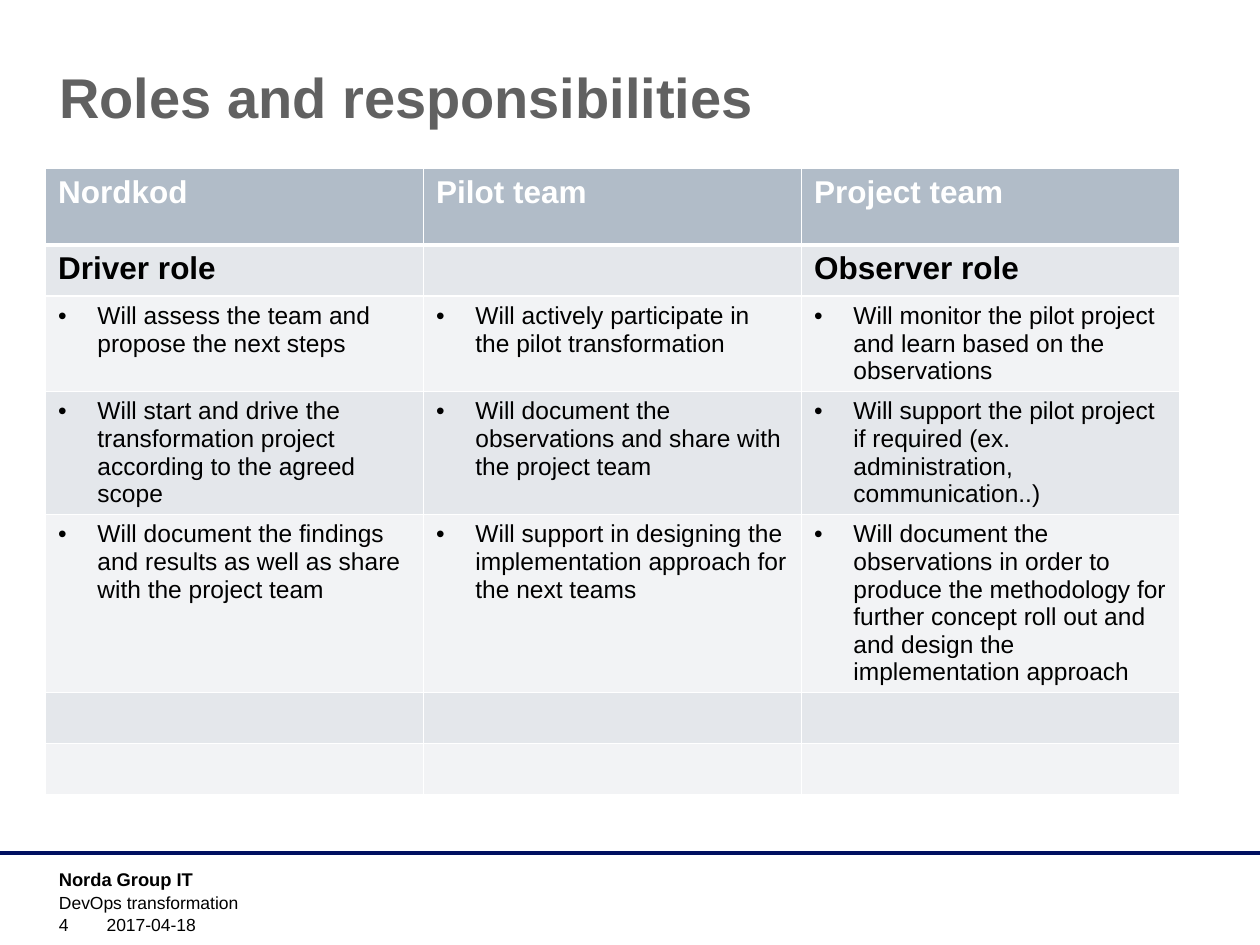
from lxml.etree import SubElement
from pptx import Presentation
from pptx.dml.color import RGBColor
from pptx.enum.shapes import MSO_CONNECTOR
from pptx.enum.text import MSO_ANCHOR, PP_ALIGN
from pptx.oxml.ns import qn
from pptx.util import Cm, Pt

FONT = "Arial"
BLACK = RGBColor(0x00, 0x00, 0x00)
WHITE = RGBColor(0xFF, 0xFF, 0xFF)
GREY = RGBColor(0x61, 0x61, 0x61)
NAVY = RGBColor(0x00, 0x0F, 0x60)
HEADER_FILL = RGBColor(0xB1, 0xBC, 0xC8)
DARK_BAND = RGBColor(0xE4, 0xE7, 0xEB)
LIGHT_BAND = RGBColor(0xF2, 0xF3, 0xF5)

LEFT = 0.94
COLUMN_WIDTH = 7.62
ROW_HEIGHTS = [1.55, 1.03, 1.91, 2.48, 3.59, 1.03, 1.03]
ROLES = [
    ("Nordkod", "Pilot team", "Project team"),
    ("Driver role", "", "Observer role"),
    ("Will assess the team and propose the next steps",
     "Will actively participate in the pilot transformation",
     "Will monitor the pilot project and learn based on the observations"),
    ("Will start and drive the transformation project according to the agreed scope",
     "Will document the observations and share with the project team",
     "Will support the pilot project if required (ex. administration, communication..)"),
    ("Will document the findings and results as well as share with the project team",
     "Will support in designing the implementation approach for the next teams",
     "Will document the observations in order to produce the methodology for "
     "further concept roll out and and design the implementation approach"),
    ("", "", ""),
    ("", "", ""),
]


def format_text(p, size, color=BLACK, bold=False):
    for r in p.runs:
        r.font.name = FONT
        r.font.size = Pt(size)
        r.font.bold = bold
        r.font.color.rgb = color


def add_title(slide, text):
    sp = slide.shapes.title
    sp.left, sp.top, sp.width, sp.height = Cm(LEFT), Cm(1), Cm(22.86), Cm(3.18)
    tf = sp.text_frame
    tf.text = text
    tf.vertical_anchor = MSO_ANCHOR.TOP
    tf.margin_top = Cm(0.25)
    p = tf.paragraphs[0]
    p.alignment = PP_ALIGN.LEFT
    format_text(p, 32, GREY, True)


def add_bullet(p):
    pPr = p._p.get_or_add_pPr()
    pPr.set("marL", str(Cm(0.79)))
    pPr.set("indent", str(-Cm(0.79)))
    SubElement(pPr, qn("a:buFont"), typeface=FONT)
    SubElement(pPr, qn("a:buChar"), char="•")


def set_borders(cell, top, bottom):
    tcPr = cell._tc.get_or_add_tcPr()
    widths = {"a:lnL": 1, "a:lnR": 1, "a:lnT": top, "a:lnB": bottom}
    for tag, width in widths.items():
        ln = SubElement(tcPr, qn(tag), w=str(Pt(width)))
        fill = SubElement(ln, qn("a:solidFill"))
        SubElement(fill, qn("a:srgbClr"), val=str(WHITE))


def fill_cell(cell, row, text):
    cell.text = text
    p = cell.text_frame.paragraphs[0]
    if row < 2:
        format_text(p, 18, WHITE if row == 0 else BLACK, True)
    elif text:
        format_text(p, 14)
        add_bullet(p)
    # Borders come before the fill in the cell properties
    set_borders(cell, 3 if row == 1 else 1, 3 if row == 0 else 1)
    cell.fill.solid()
    band = DARK_BAND if row % 2 else LIGHT_BAND
    cell.fill.fore_color.rgb = HEADER_FILL if row == 0 else band


def add_roles_table(slide):
    columns = len(ROLES[0])
    frame = slide.shapes.add_table(len(ROLES), columns, Cm(0.92), Cm(3.39),
                                   Cm(COLUMN_WIDTH * columns), Cm(sum(ROW_HEIGHTS)))
    table = frame.table
    for column in table.columns:
        column.width = Cm(COLUMN_WIDTH)
    for i, (texts, height) in enumerate(zip(ROLES, ROW_HEIGHTS)):
        table.rows[i].height = Cm(height)
        for j, text in enumerate(texts):
            fill_cell(table.cell(i, j), i, text)


def add_footer_line(slide):
    line = slide.shapes.add_connector(MSO_CONNECTOR.STRAIGHT,
                                      Cm(0), Cm(17.2), Cm(25.4), Cm(17.2))
    line.line.color.rgb = NAVY
    line.line.width = Pt(2)
    SubElement(line._element.spPr, qn("a:effectLst"))


def add_footer_text(slide, text, left, top, width, size=10, bold=False,
                    anchor=MSO_ANCHOR.TOP):
    sp = slide.shapes.add_textbox(Cm(left), Cm(top), Cm(width), Cm(0.6))
    tf = sp.text_frame
    tf.word_wrap = True
    tf.vertical_anchor = anchor
    tf.text = text
    format_text(tf.paragraphs[0], size, bold=bold)


def main():
    prs = Presentation()
    prs.slide_width, prs.slide_height = Cm(25.4), Cm(19.05)
    slide = prs.slides.add_slide(prs.slide_layouts[5])

    # Title and table
    add_title(slide, "Roles and responsibilities")
    add_roles_table(slide)

    # Footer
    add_footer_line(slide)
    add_footer_text(slide, "Norda Group IT", LEFT, 17.37, 5.92, 10.5, True)
    add_footer_text(slide, "DevOps transformation", LEFT, 17.86, 19.1)
    add_footer_text(slide, "4", LEFT, 18.38, 1.4, anchor=MSO_ANCHOR.BOTTOM)
    add_footer_text(slide, "2017-04-18", 1.9, 18.38, 6.68, anchor=MSO_ANCHOR.BOTTOM)

    prs.save("out.pptx")


if __name__ == "__main__":
    main()
